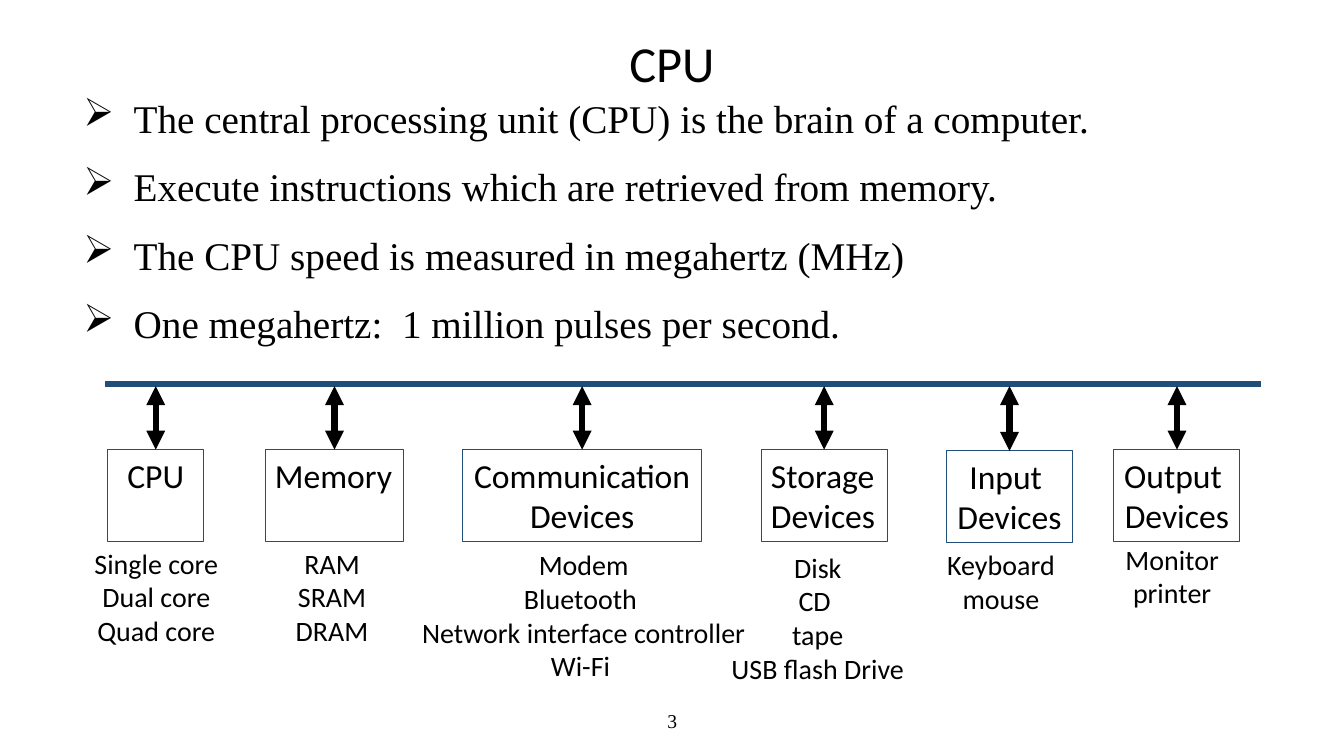
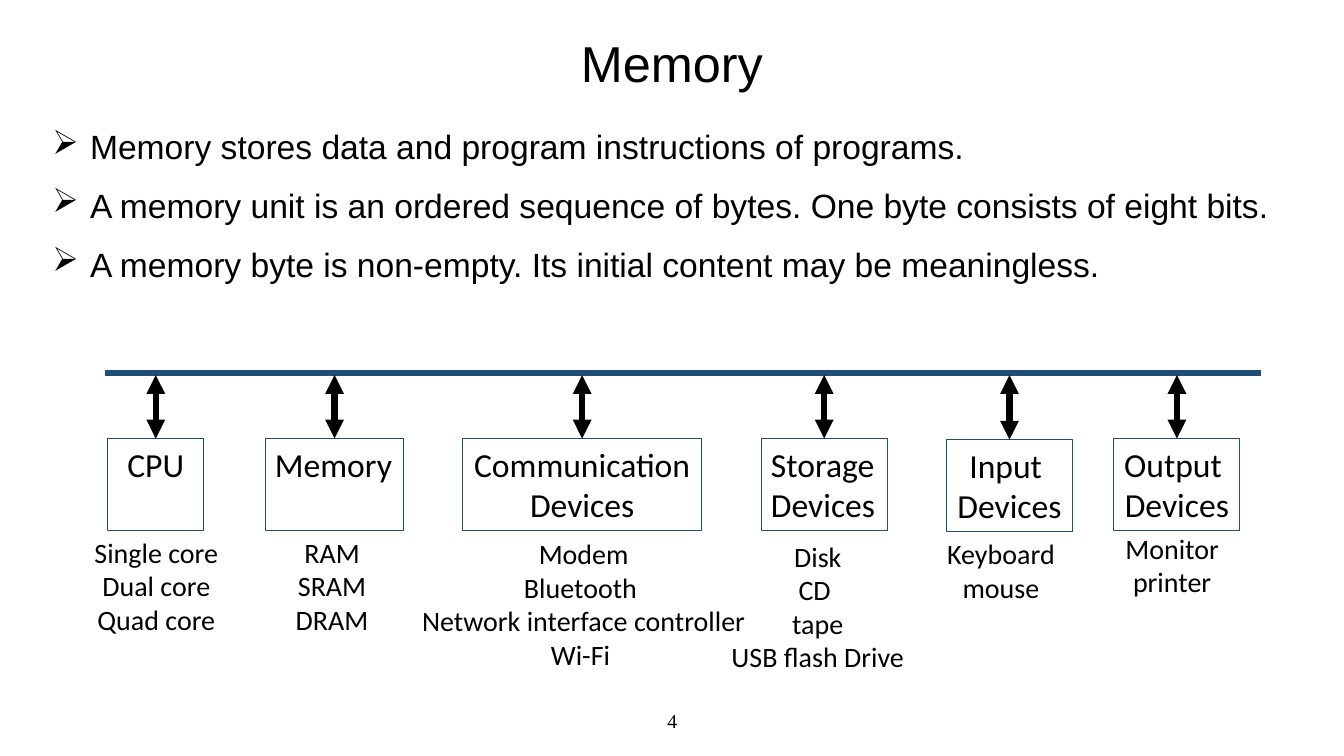
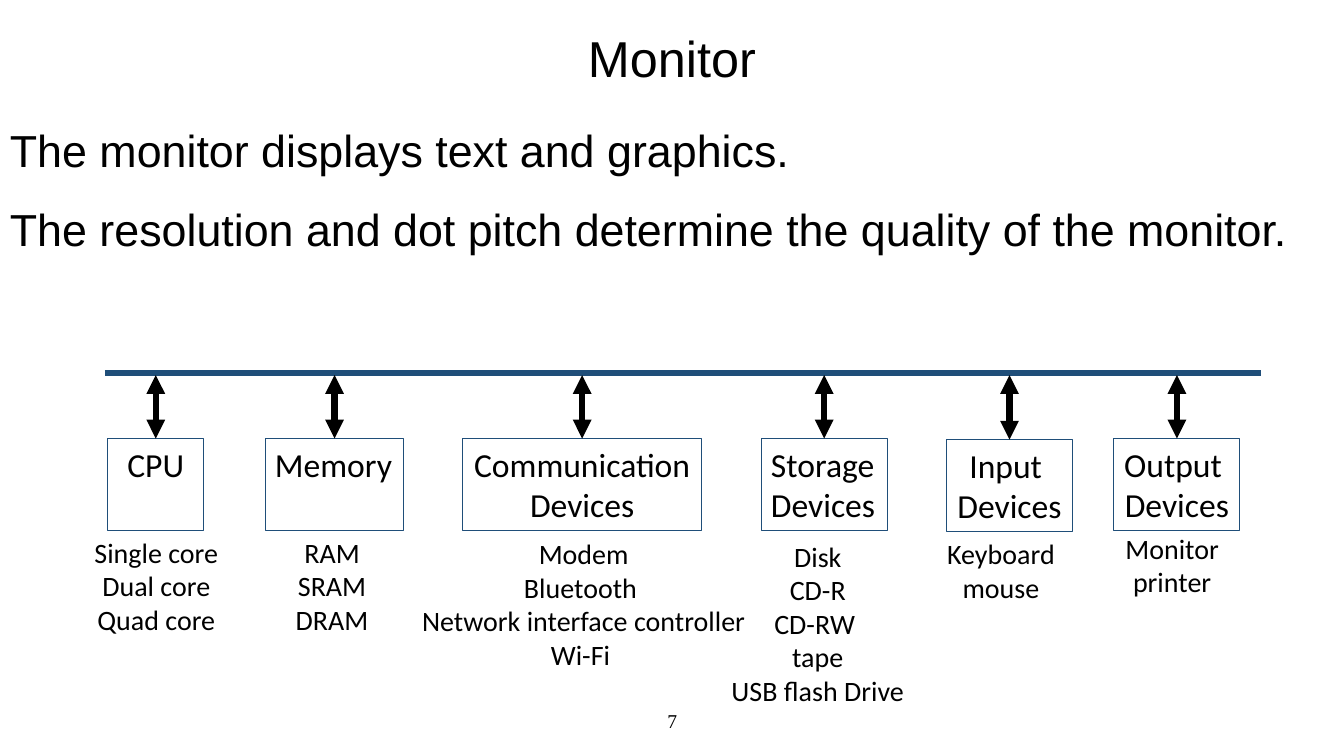
from dataclasses import dataclass
from typing import Optional

import pptx
import pptx.dml.color
import pptx.enum.dml
import pptx.enum.shapes
import pptx.enum.text
import pptx.oxml
import pptx.oxml.ns
import pptx.util

Cm = pptx.util.Cm
Pt = pptx.util.Pt
Align = pptx.enum.text.PP_ALIGN
Anchor = pptx.enum.text.MSO_ANCHOR

SLIDE_WIDTH, SLIDE_HEIGHT = 33.87, 19.05
INK, NAVY = "000000", "1F4E79"
BUS_LEFT, BUS_RIGHT = 2.64, 31.78
BOX_DROP, BOX_HEIGHT = 1.65, 2.31
ARROW_GAP = 0.05
ITEM_LINE, ITEM_MARGIN = 0.85, 0.26
BULLET_GAP = 0.55


@dataclass(frozen=True)
class Style:
    font: str
    size: float
    align: Align = Align.LEFT
    anchor: Anchor = Anchor.TOP
    wrap: bool = True
    line_spacing: Optional[float] = None
    space_before: float = 0
    bullet_indent: float = 0


@dataclass(frozen=True)
class Area:
    left: float
    top: float
    width: float
    height: float


@dataclass(frozen=True)
class Device:
    name: tuple[str, ...]
    left: float
    width: float
    items: tuple[str, ...]
    items_left: float
    items_width: float
    items_drop: float
    align: Align = Align.CENTER
    shift: float = 0


@dataclass(frozen=True)
class Topic:
    title: str
    title_font: str
    title_height: float
    points: tuple[str, ...]
    points_area: Area
    points_font: str
    points_size: float
    bullet_indent: float
    bus_top: float
    number: str
    storage_items: tuple[str, ...]


STORAGE_ITEMS = ("Disk", "CD ", "tape", "USB flash Drive")

TOPICS = (
    Topic("CPU", "Calibri", 1.75,
          ("The central processing unit (CPU) is the brain of a computer.",
           "Execute instructions which are retrieved from memory.",
           "The CPU speed is measured in megahertz (MHz)",
           "One megahertz:  1 million pulses per second."),
          Area(1.85, 2.24, 29.92, 6.83), "Times New Roman", 28, 1.27,
          9.68, "3", STORAGE_ITEMS),
    Topic("Memory", "Arial", 1.75,
          ("Memory stores data and program instructions of programs.",
           "A memory unit is an ordered sequence of bytes. One byte consists of eight bits.",
           "A memory byte is non-empty. Its initial content may be meaningless."),
          Area(1.07, 3.05, 31.6, 4.37), "Arial", 24, 0.95,
          9.4, "4", STORAGE_ITEMS),
    Topic("Monitor", "Arial", 1.52,
          ("The monitor displays text and graphics.",
           "The resolution and dot pitch determine the quality of the monitor."),
          Area(0, 2.97, SLIDE_WIDTH, 3.68), "Arial", 32, 0,
          9.4, "7", ("Disk", "CD-R", "CD-RW ", "tape", "USB flash Drive")),
)


def devices(storage_items: tuple[str, ...]) -> tuple[Device, ...]:
    return (
        Device(("CPU",), 2.72, 2.41,
               ("Single core", "Dual core", "Quad core"), 2.11, 3.66, 3.96),
        Device(("Memory",), 6.68, 3.5,
               ("RAM", "SRAM", "DRAM"), 7.19, 2.36, 3.96, Align.LEFT),
        Device(("Communication", "Devices"), 11.66, 6.02,
               ("Modem", "Bluetooth ", "Network interface controller", "Wi-Fi "),
               10.34, 8.74, 4),
        Device(("Storage", "Devices"), 19.18, 3.18,
               storage_items, 18.16, 4.9, 4.06, Align.LEFT),
        Device(("Input ", "Devices"), 23.85, 3.18,
               ("Keyboard", "mouse"), 23.6, 3.25, 4, shift=0.03),
        Device(("Output ", "Devices"), 28.07, 3.18,
               ("Monitor", "printer"), 28.09, 2.9, 3.86),
    )


def colour(value: str) -> pptx.dml.color.RGBColor:
    return pptx.dml.color.RGBColor.from_string(value)


def add_child(parent, tag: str, **attributes: str) -> None:
    child = pptx.oxml.parse_xml(f"<a:{tag} {pptx.oxml.ns.nsdecls('a')}/>")
    for key, value in attributes.items():
        child.set(key, value)
    parent.append(child)


def add_bullet(paragraph, indent: float) -> None:
    properties = paragraph._p.get_or_add_pPr()
    properties.set("marL", str(Cm(indent)))
    properties.set("indent", str(-Cm(indent)))
    add_child(properties, "buChar", char="➢")


def write(shape, lines: tuple[str, ...], style: Style) -> None:
    frame = shape.text_frame
    frame.word_wrap = style.wrap
    frame.vertical_anchor = style.anchor
    for index, line in enumerate(lines):
        paragraph = frame.add_paragraph() if index else frame.paragraphs[0]
        if style.bullet_indent:
            add_bullet(paragraph, style.bullet_indent)
        paragraph.alignment = style.align
        if style.line_spacing:
            paragraph.line_spacing = style.line_spacing
        if index and style.space_before:
            paragraph.space_before = Pt(style.space_before)
        run = paragraph.add_run()
        run.text = line
        run.font.name = style.font
        run.font.size = Pt(style.size)
        run.font.color.rgb = colour(INK)


def add_text(slide, area: Area, lines: tuple[str, ...], style: Style) -> None:
    box = slide.shapes.add_textbox(
        Cm(area.left), Cm(area.top), Cm(area.width), Cm(area.height))
    write(box, lines, style)


def add_line(slide, start: tuple[int, int], end: tuple[int, int],
             line_colour: str, arrows: bool = False):
    line = slide.shapes.add_connector(
        pptx.enum.shapes.MSO_CONNECTOR.STRAIGHT, *start, *end)
    line.line.color.rgb = colour(line_colour)
    line.line.width = Pt(4.5)
    if arrows:
        outline = line.line._get_or_add_ln()
        for tag in ("headEnd", "tailEnd"):
            add_child(outline, tag, type="triangle")
    add_child(line._element.spPr, "effectLst")
    return line


def add_device(slide, device: Device, bus_top: float) -> None:
    box = slide.shapes.add_shape(
        pptx.enum.shapes.MSO_SHAPE.RECTANGLE, Cm(device.left),
        Cm(bus_top + BOX_DROP + device.shift), Cm(device.width), Cm(BOX_HEIGHT))
    box.shadow.inherit = False
    box.fill.background()
    box.line.color.rgb = colour(NAVY)
    box.line.width = Pt(0.75)
    write(box, device.name, Style("Calibri", 24, device.align, wrap=False))

    centre = box.left + box.width // 2
    arrow = add_line(slide, (centre, Cm(bus_top + ARROW_GAP)),
                     (centre, box.top), INK, arrows=True)
    arrow.end_connect(box, 0)

    items_area = Area(device.items_left, bus_top + device.items_drop,
                      device.items_width,
                      ITEM_MARGIN + ITEM_LINE * len(device.items))
    add_text(slide, items_area, device.items,
             Style("Calibri", 20, Align.CENTER, wrap=False))


def add_topic(deck, topic: Topic) -> None:
    slide = deck.slides.add_slide(deck.slide_layouts[6])
    add_text(slide, Area(11.23, 17.65, 11.43, 1.02), (topic.number,),
             Style("Times New Roman", 14, Align.CENTER, Anchor.MIDDLE))
    add_text(slide, Area(0, 0.79, SLIDE_WIDTH, topic.title_height), (topic.title,),
             Style(topic.title_font, 36, Align.CENTER, Anchor.MIDDLE,
                   line_spacing=0.9))
    add_text(slide, topic.points_area, topic.points,
             Style(topic.points_font, topic.points_size,
                   space_before=topic.points_size * BULLET_GAP,
                   bullet_indent=topic.bullet_indent))
    add_line(slide, (Cm(BUS_LEFT), Cm(topic.bus_top)),
             (Cm(BUS_RIGHT), Cm(topic.bus_top)), NAVY)
    for device in devices(topic.storage_items):
        add_device(slide, device, topic.bus_top)


def main() -> None:
    deck = pptx.Presentation()
    deck.slide_width = Cm(SLIDE_WIDTH)
    deck.slide_height = Cm(SLIDE_HEIGHT)
    for topic in TOPICS:
        add_topic(deck, topic)
    deck.save("out.pptx")


if __name__ == "__main__":
    main()
